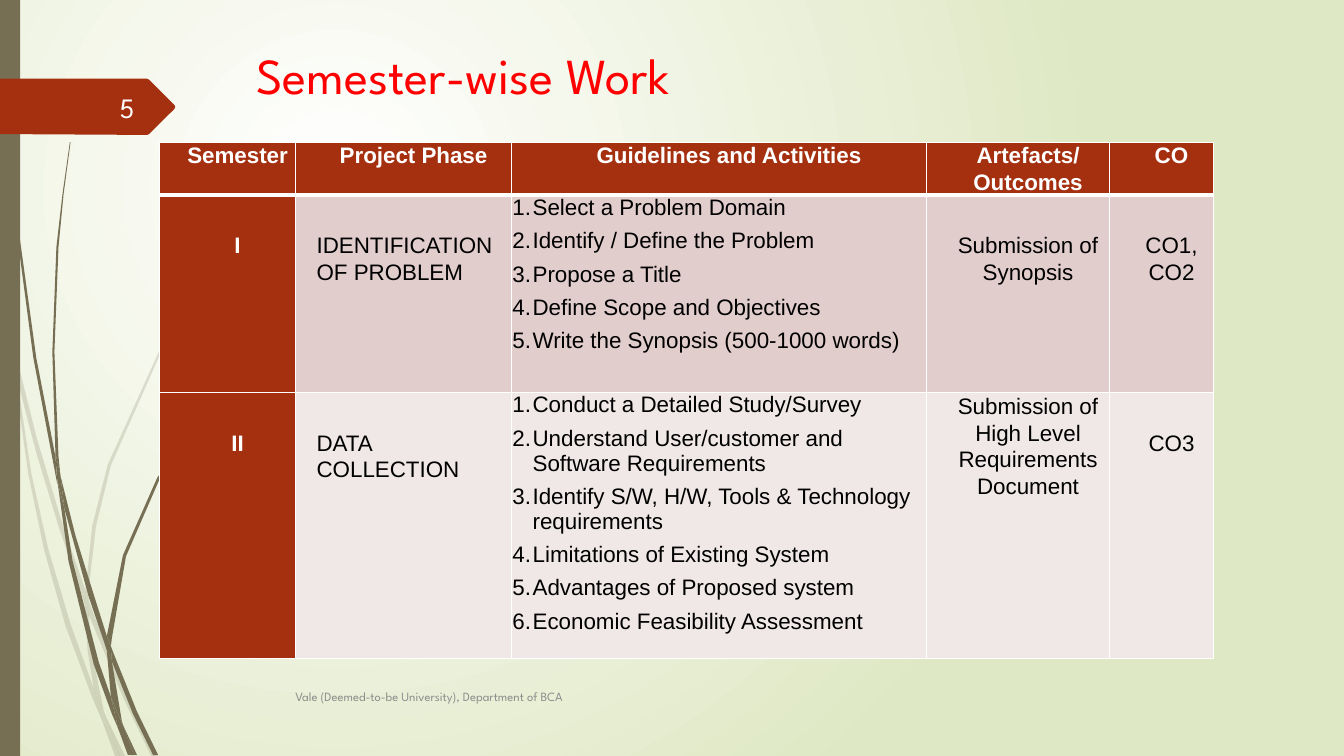
from lxml.etree import SubElement
from pptx import Presentation
from pptx.dml.color import RGBColor
from pptx.enum.shapes import MSO_SHAPE
from pptx.enum.text import MSO_ANCHOR, MSO_AUTO_SIZE, PP_ALIGN
from pptx.oxml import parse_xml
from pptx.oxml.ns import nsdecls, qn
from pptx.util import Pt

COLORS = {
    "white": "FFFFFF", "black": "000000", "sage": "DFE8C4", "olive": "766F54",
    "rust": "A53010", "red": "FF0000", "gray": "8C8C8C", "number": "FEFFFF",
    "row_dark": "E1CDCC", "row_light": "F0E8E7",
}
HEADING_FONT, BODY_FONT = "League Spartan", "Arial"
BLANK_LINE = 26.1

PALE_LEAVES = [
    [(0, 203), (6.5, 232), (7.9, 252), (7.2, 248), (0, 215)],
    [(10.1, 248.4), (26, 312), (44.6, 374.4), (61.2, 422), (60.5, 431.3), (41.8, 375.8),
     (25.9, 323.5), (12.2, 270.7)],
    [(63.4, 429.1), (66.2, 437), (91.4, 498.2), (111.6, 540), (108, 540), (88.6, 499.7),
     (63.4, 439.2)],
    [(75.6, 511.9), (89.3, 540), (85.7, 540)],
    [(7.9, 252), (12.2, 270.7), (22.3, 337.7), (34.5, 392.2), (50.4, 445.7), (67, 491.8),
     (71.3, 509), (72.7, 514.1), (66.2, 499), (46.8, 447.1), (31.6, 393), (20.2, 338.4)],
    [(60.5, 431.3), (63.4, 437.8), (65.5, 465.1), (74.2, 508.3), (75.6, 511.9),
     (69.1, 498.2), (67, 491.8), (62.6, 465.1)],
    [(63.4, 420.5), (68.6, 375.8), (79.2, 332.6), (115.2, 251.3), (164.9, 176.4),
     (193, 142.6), (208.8, 126), (224.6, 110.9), (224.6, 110.2), (208.1, 126), (193, 141.8),
     (164.2, 175.7), (113.8, 250.6), (77, 331.9), (65.9, 375.7), (61.2, 420.5),
     (61.2, 421.9), (63.4, 429.1)],
    [(72.7, 514.1), (82.1, 540), (85.7, 540)],
    [(63.4, 437.8), (63.4, 429.1), (61.2, 421.9), (60.5, 431.3)],
    [(69.1, 498.2), (67, 491.8), (71.3, 509), (72.7, 514.1), (85.7, 540), (75.6, 511.9)],
]
DARK_LEAVES = [
    [(5, 79.2), (12.2, 167.8), (23.8, 255.6), (41, 346.3), (39.6, 326.2), (25.9, 255.6),
     (13.7, 167), (5.8, 78.5), (3.6, 34.6), (2.9, 0), (2.2, 0), (2.9, 34.6)],
    [(43.2, 339.8), (54, 382.9), (67, 424.8), (76.3, 454.3), (76.3, 464.4), (63.4, 426.2),
     (46.1, 363.6)],
    [(79.2, 461.5), (81.4, 467.3), (97.9, 508.3), (113, 539.3), (109.4, 539.3), (95, 509.8),
     (79.9, 472.3)],
    [(41, 343.4), (46.1, 363.6), (51.8, 400.3), (70.6, 473), (79.2, 497.5), (83.5, 516.2),
     (84.2, 519.8), (79.9, 509.8), (67, 474.5), (49, 401)],
    [(43.2, 339.8), (41.8, 326.2), (38.9, 251.3), (41.8, 176.4), (45.4, 139), (50.4, 101.5),
     (49.9, 101.5), (44.6, 139), (40.3, 176.4), (37.4, 251.3), (39.6, 323.3)],
    [(87.8, 517.7), (97.9, 539.3), (95.8, 539.3)],
    [(41, 343.4), (46.1, 363.6), (43.2, 339.8), (39.6, 323.3), (39.6, 326.2)],
    [(79.9, 455.8), (90, 397.4), (113.8, 342.7), (147.6, 292.3), (166.3, 269.3),
     (176.4, 258.5), (187.9, 247.7), (187.2, 247.7), (176.4, 257.8), (166.3, 268.6),
     (146.9, 291.6), (112.3, 341.3), (87.8, 396.7), (76.3, 454.3), (79.2, 461.5)],
    [(84.2, 519.8), (91.4, 539.3), (94.3, 539.3)],
    [(76.3, 464.4), (79.2, 497.5), (83.5, 508.3), (87.8, 517.7), (87.1, 515.5),
     (79.9, 472.3), (78.5, 468.7)],
    [(76.3, 464.4), (78.5, 468.7), (79.9, 472.3), (79.2, 461.5), (76.3, 454.3)],
    [(83.5, 508.3), (79.2, 497.5), (83.5, 516.2), (84.2, 519.8), (93.6, 539.3),
     (95.8, 539.3), (87.8, 517.7)],
]
NUMBER_TAG = [(0, 56.2), (105, 56.2), (106.5, 57), (124.6, 75), (125.2, 76.4), (124.6, 77.8),
              (106.5, 95.8), (105, 96.4), (0, 95.8)]

COLUMN_WIDTHS = [97.2, 154.3, 296.4, 130.7, 74.3]
ROW_HEIGHTS = [37.9, 141, 189.6]
HEADERS = ["Semester", "Project Phase", "Guidelines and Activities", "Artefacts/ Outcomes", "CO"]
SEMESTERS = [
    ("row_dark", "I", "IDENTIFICATION OF PROBLEM", [
        "Select a Problem Domain",
        "Identify / Define the Problem",
        "Propose a Title",
        "Define Scope and Objectives",
        "Write the Synopsis (500-1000 words)",
    ], "Submission of Synopsis", BLANK_LINE, "CO1, CO2"),
    ("row_light", "II", "DATA COLLECTION", [
        "Conduct a Detailed Study/Survey",
        "Understand User/customer and Software Requirements",
        "Identify S/W, H/W, Tools & Technology requirements",
        "Limitations of Existing System",
        "Advantages of Proposed system",
        "Economic Feasibility Assessment",
    ], "Submission of High Level Requirements Document", 0, "CO3"),
]


def rgb(color):
    return RGBColor.from_string(COLORS[color])


def format_runs(para, size, color, font, bold=False):
    for span in para.runs:
        span.font.size = Pt(size)
        span.font.name = font
        span.font.bold = bold
        span.font.color.rgb = rgb(color)


def paint(shape, color):
    shape.shadow.inherit = False
    shape.fill.solid()
    shape.fill.fore_color.rgb = rgb(color)
    shape.line.fill.background()


def set_background(page):
    fill = page.background.fill
    fill.gradient()
    for stop, color in zip(fill.gradient_stops, ("white", "sage")):
        stop.color.rgb = rgb(color)
    gradient = page.background._cSld.find(".//" + qn("a:gradFill"))
    gradient.replace(gradient.find(qn("a:lin")), parse_xml(
        f'<a:path {nsdecls("a")} path="circle">'
        '<a:fillToRect l="50000" t="50000" r="100000" b="100000"/></a:path>'))


def add_outline(page, points, color, opacity=None):
    corners = [(Pt(x), Pt(y)) for x, y in points]
    builder = page.shapes.build_freeform(*corners[0])
    builder.add_line_segments(corners[1:], close=True)
    shape = builder.convert_to_shape()
    paint(shape, color)
    if opacity is not None:
        tint = shape._element.spPr.find(qn("a:solidFill")).find(qn("a:srgbClr"))
        SubElement(tint, qn("a:alpha"), val=str(opacity * 1000))


def add_decor(page):
    for leaf in PALE_LEAVES:
        add_outline(page, leaf, "olive", 20)
    for leaf in DARK_LEAVES:
        add_outline(page, leaf, "olive")
    bar = page.shapes.add_shape(MSO_SHAPE.RECTANGLE, 0, 0, Pt(14.4), Pt(540))
    paint(bar, "olive")
    add_outline(page, NUMBER_TAG, "rust")


def add_title(page, text):
    title = page.shapes.title
    title.left, title.top, title.width, title.height = Pt(176), Pt(26.2), Pt(702), Pt(54)
    frame = title.text_frame
    frame.text = text
    frame.auto_size = MSO_AUTO_SIZE.NONE
    frame.vertical_anchor = MSO_ANCHOR.MIDDLE
    frame.paragraphs[0].alignment = PP_ALIGN.LEFT
    format_runs(frame.paragraphs[0], 36, "red", HEADING_FONT)


def add_label(page, text, left, top, width, size, color, align):
    box = page.shapes.add_textbox(Pt(left), Pt(top), Pt(width), Pt(28.8))
    frame = box.text_frame
    frame.word_wrap = True
    frame.vertical_anchor = MSO_ANCHOR.MIDDLE
    frame.text = text
    frame.paragraphs[0].alignment = align
    format_runs(frame.paragraphs[0], size, color, HEADING_FONT)


def style_cell(cell, fill, top=0, bottom_line=1):
    cell.margin_left = cell.margin_right = Pt(0.7)
    cell.margin_top, cell.margin_bottom = Pt(top), 0
    cell.fill.solid()
    cell.fill.fore_color.rgb = rgb(fill)
    properties = cell._tc.get_or_add_tcPr()
    for index, (side, width) in enumerate(zip("LRTB", (1, 1, 1, bottom_line))):
        properties.insert(index, parse_xml(
            f'<a:ln{side} {nsdecls("a")} w="{Pt(width)}"><a:solidFill>'
            f'<a:srgbClr val="{COLORS["white"]}"/></a:solidFill></a:ln{side}>'))


def fill_cell(cell, text, color="black", bold=False, align=PP_ALIGN.CENTER):
    cell.text_frame.text = text
    para = cell.text_frame.paragraphs[0]
    para.alignment = align
    para.line_spacing = 1.07
    para.space_after = Pt(8)
    para._p.get_or_add_pPr().set("marL", str(Pt(14.4)))
    format_runs(para, 16, color, BODY_FONT, bold)


def fill_numbered(cell, items):
    cell.text_frame.text = "\n".join(items)
    for para in cell.text_frame.paragraphs:
        para.space_before = Pt(6)
        properties = para._p.get_or_add_pPr()
        properties.set("marL", str(Pt(14.4)))
        properties.set("indent", str(Pt(-27.4)))
        SubElement(properties, qn("a:buFont"), typeface="+mj-lt")
        SubElement(properties, qn("a:buAutoNum"), type="arabicPeriod")
        format_runs(para, 16, "black", BODY_FONT)


def add_semester_table(page):
    table = page.shapes.add_table(3, 5, Pt(113.9), Pt(101.5), Pt(sum(COLUMN_WIDTHS)),
                                  Pt(sum(ROW_HEIGHTS))).table
    table.first_row = table.horz_banding = False
    for column, width in zip(table.columns, COLUMN_WIDTHS):
        column.width = Pt(width)
    for row, height in zip(table.rows, ROW_HEIGHTS):
        row.height = Pt(height)
    for cell, header in zip(table.rows[0].cells, HEADERS):
        style_cell(cell, "rust", bottom_line=3)
        fill_cell(cell, header, "white", True)
    for index, (fill, semester, phase, tasks, outcome, gap, codes) in enumerate(SEMESTERS, 1):
        cells = list(table.rows[index].cells)
        tops = [BLANK_LINE, BLANK_LINE, 0, gap, BLANK_LINE]
        for column, (cell, top) in enumerate(zip(cells, tops)):
            style_cell(cell, fill if column else "rust", top)
        fill_cell(cells[0], semester, "white", True)
        fill_cell(cells[1], phase, align=PP_ALIGN.LEFT)
        fill_numbered(cells[2], tasks)
        fill_cell(cells[3], outcome)
        fill_cell(cells[4], codes)


def main():
    deck = Presentation()
    deck.slide_width, deck.slide_height = Pt(960), Pt(540)
    page = deck.slides.add_slide(deck.slide_layouts[5])
    set_background(page)
    add_decor(page)
    add_title(page, "Semester-wise Work")
    add_semester_table(page)
    add_label(page, "Vale (Deemed-to-be University), Department of BCA",
              203.8, 483, 600, 9, "gray", PP_ALIGN.LEFT)
    add_label(page, "5", 41.8, 62, 61.2, 20, "number", PP_ALIGN.RIGHT)
    deck.save("out.pptx")


if __name__ == "__main__":
    main()
